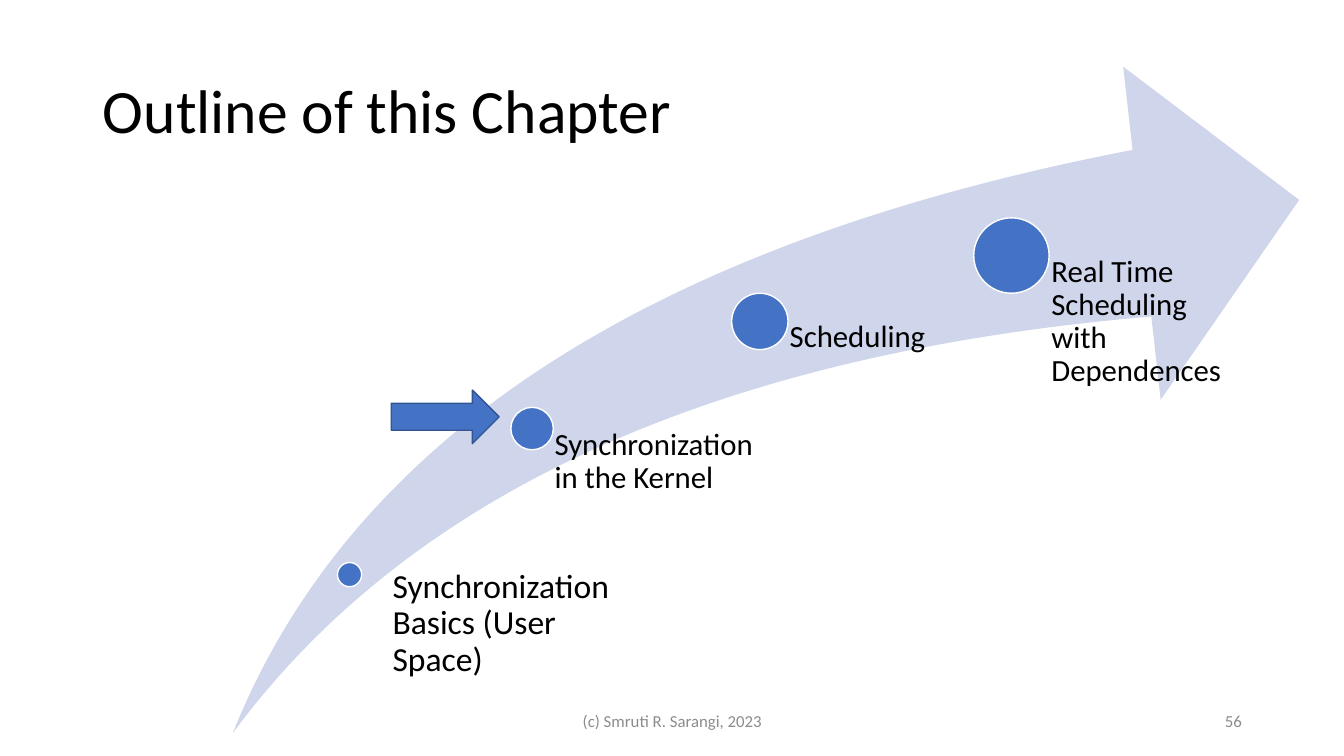
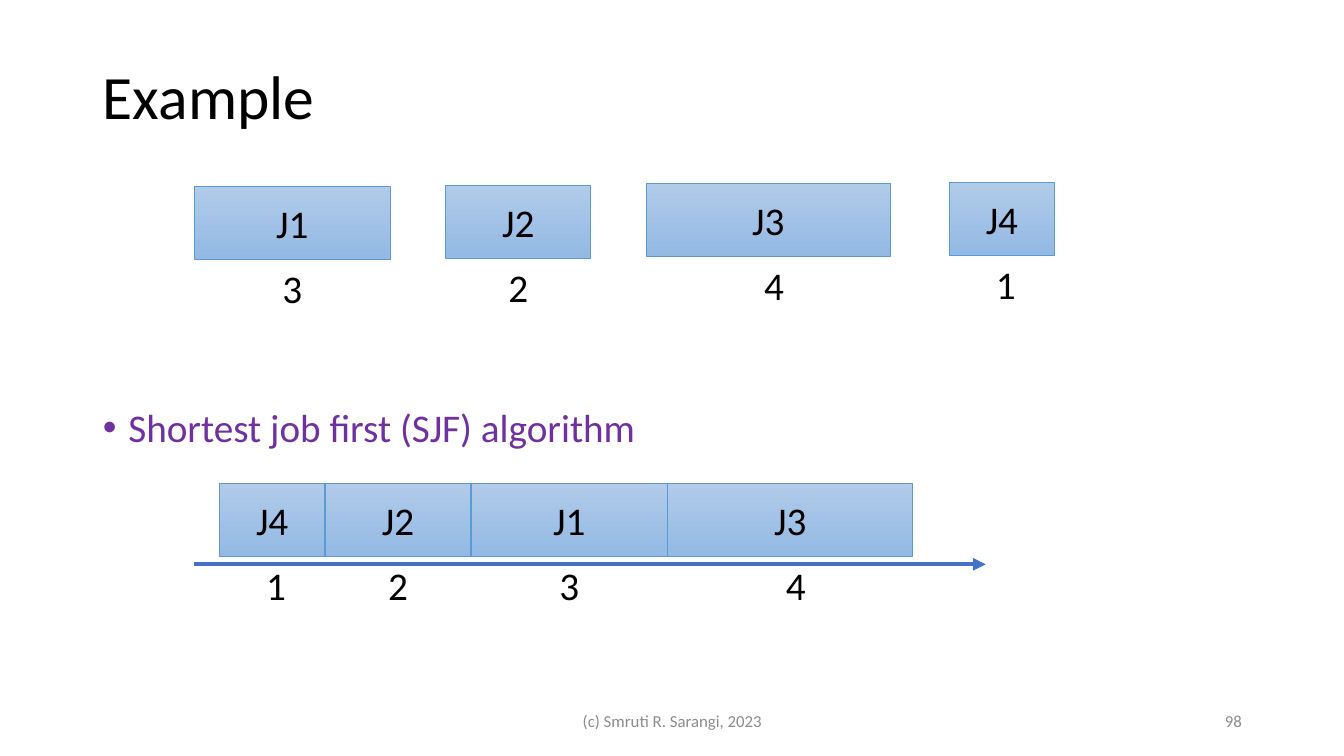
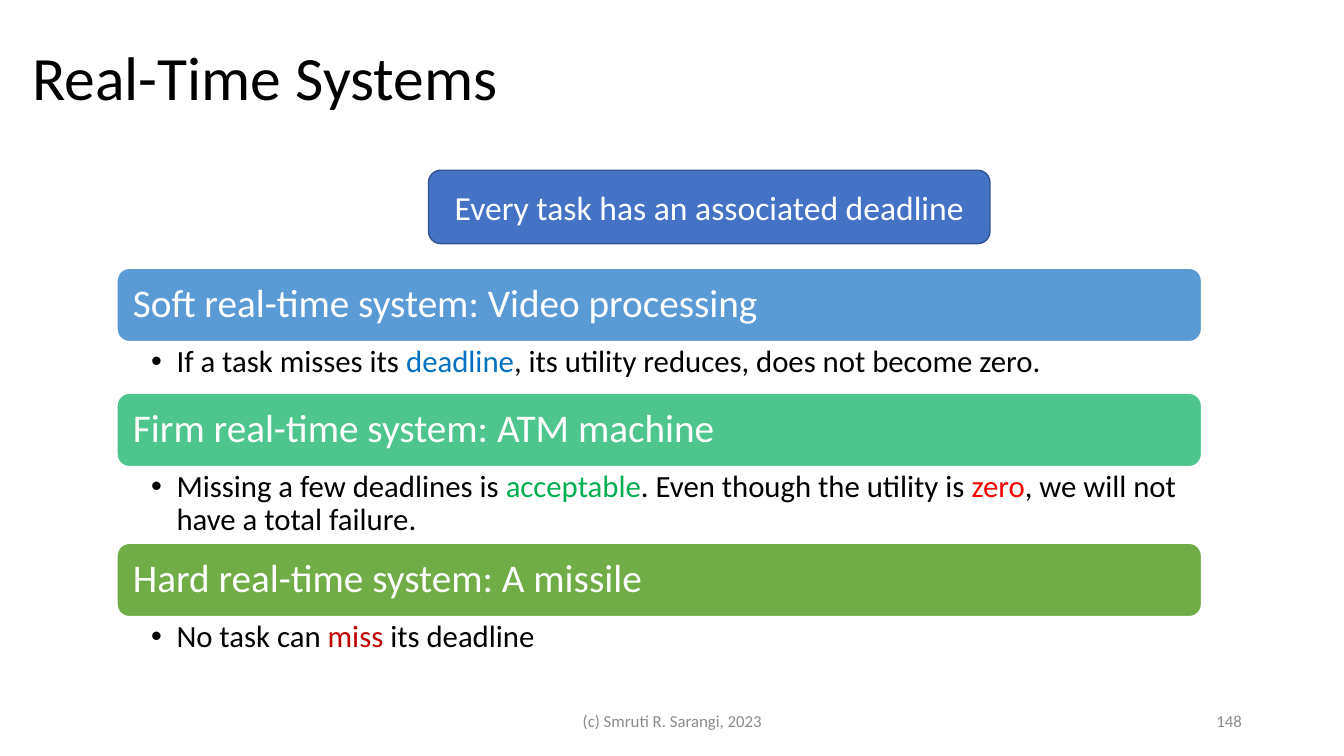
from dataclasses import dataclass
from typing import NamedTuple

from lxml.etree import SubElement
from pptx import Presentation
from pptx.dml.color import RGBColor
from pptx.enum.shapes import MSO_CONNECTOR, MSO_SHAPE
from pptx.enum.text import MSO_ANCHOR, MSO_AUTO_SIZE, PP_ALIGN
from pptx.oxml.ns import qn
from pptx.shapes.autoshape import Shape
from pptx.slide import Slide
from pptx.text.text import TextFrame
from pptx.util import Cm, Pt

FONT = "Calibri"
COLORS = {
    "black": "000000", "white": "FFFFFF", "footer": "8C8C8C",
    "swoosh": "CFD5EA", "accent": "4472C4", "accent_edge": "325491",
    "job_top": "B1CBE9", "job_bottom": "93B9E4", "job_edge": "5B9BD5",
    "soft": "5B9BD5", "firm": "4DC58D", "hard": "70AD47",
    "purple": "7030A0", "blue": "0070C0", "green": "00B050",
    "red": "FF0000", "dark_red": "C00000",
}
TITLE_ONLY, TITLE_AND_BODY = 5, 1
COPYRIGHT = "(c) Smruti R. Sarangi, 2023"
BULLET_INDENT = Cm(0.64)
NO_INSETS = (0, 0, 0, 0)


class Box(NamedTuple):
    """Left, top, width and height in centimetres."""
    left: float
    top: float
    width: float
    height: float

    def emu(self) -> tuple:
        return tuple(Cm(v) for v in self)


class Run(NamedTuple):
    text: str
    color: str = "black"


@dataclass
class Milestone:
    text: str
    cx: float
    cy: float
    diameter: float
    size: int = 22
    dx: float = 0
    dy: float = 0
    width: float = 5.64


@dataclass
class Job:
    name: str
    length: int
    width: float
    shift: float = 0


@dataclass
class SystemKind:
    heading: str
    color: str
    detail: list[Run]
    detail_height: float


def rgb(name: str) -> RGBColor:
    return RGBColor.from_string(COLORS[name])


def write(tf: TextFrame, runs: list[Run], size: int, align: PP_ALIGN = PP_ALIGN.LEFT,
          anchor: MSO_ANCHOR = MSO_ANCHOR.TOP, spacing: float = 1.0,
          insets: tuple | None = None, bullet: bool = False) -> None:
    """Fill a frame with one paragraph; insets are left, top, right, bottom in cm."""
    frame_format = {"word_wrap": True, "auto_size": MSO_AUTO_SIZE.NONE,
                    "vertical_anchor": anchor}
    if insets is not None:
        sides = ("margin_left", "margin_top", "margin_right", "margin_bottom")
        frame_format.update(zip(sides, map(Cm, insets)))
    for name, value in frame_format.items():
        setattr(tf, name, value)

    p = tf.paragraphs[0]
    if bullet:
        pPr = p._p.get_or_add_pPr()
        pPr.set("marL", str(BULLET_INDENT))
        pPr.set("indent", str(-BULLET_INDENT))
        SubElement(pPr, qn("a:buFont")).set("typeface", "Arial")
        SubElement(pPr, qn("a:buChar")).set("char", "•")
    paragraph_format = {"alignment": align, "line_spacing": spacing, "space_before": Pt(0)}
    for name, value in paragraph_format.items():
        setattr(p, name, value)
    for text, color in runs:
        r = p.add_run()
        r.text = text
        for name, value in {"name": FONT, "size": Pt(size)}.items():
            setattr(r.font, name, value)
        r.font.color.rgb = rgb(color)


def add_text(s: Slide, box: Box, runs: list[Run], size: int, **style) -> None:
    write(s.shapes.add_textbox(*box.emu()).text_frame, runs, size, **style)


def add_shape(s: Slide, kind: MSO_SHAPE, box: Box, fill: str | None = None,
              edge: str | None = None, edge_width: float = 1) -> Shape:
    sp = s.shapes.add_shape(kind, *box.emu())
    sp.shadow.inherit = False
    if fill:
        sp.fill.solid()
        sp.fill.fore_color.rgb = rgb(fill)
    if edge:
        sp.line.color.rgb = rgb(edge)
        sp.line.width = Pt(edge_width)
    else:
        sp.line.fill.background()
    return sp


def place(sp: Shape, box: Box) -> None:
    sp.left, sp.top, sp.width, sp.height = box.emu()


def new_slide(prs: Presentation, layout: int, title: str, left: float, top: float,
              number: int) -> Slide:
    """Add a slide with its title, copyright line and page number."""
    s = prs.slides.add_slide(prs.slide_layouts[layout])
    place(s.shapes.title, Box(left, top, 29.21, 3.68))
    write(s.shapes.title.text_frame, [Run(title)], 44, anchor=MSO_ANCHOR.MIDDLE, spacing=0.9)
    footers = [(Box(11.23, 17.65, 11.43, 1.02), COPYRIGHT, PP_ALIGN.CENTER),
               (Box(23.93, 17.65, 7.62, 1.02), str(number), PP_ALIGN.RIGHT)]
    for box, text, align in footers:
        add_text(s, box, [Run(text, "footer")], 12, align=align, anchor=MSO_ANCHOR.MIDDLE)
    return s


def outline_slide(prs: Presentation) -> None:
    s = new_slide(prs, TITLE_ONLY, "Outline of this Chapter", 2.34, 1.02, 56)
    swoosh = Box(5.87, 1.68, 26.87, 16.79)
    sp = add_shape(s, MSO_SHAPE.SWOOSH_ARROW, swoosh, "swoosh")
    sp.adjustments[0] = sp.adjustments[1] = 0.25

    milestones = [
        Milestone("Synchronization Basics (User Space)", 8.81, 14.48, 0.61,
                  size=24, dx=0.76, dy=-0.13, width=6.02),
        Milestone("Synchronization in the Kernel", 13.41, 10.8, 1.07),
        Milestone("Scheduling", 19.15, 8.1, 1.42),
        Milestone("Real Time Scheduling with Dependences", 25.49, 6.44, 1.9),
    ]
    for m in milestones:
        d = m.diameter
        add_shape(s, MSO_SHAPE.OVAL, Box(m.cx - d / 2, m.cy - d / 2, d, d), "accent", "white")
        top = m.cy + m.dy
        label = Box(m.cx + m.dx, top, m.width, swoosh.top + swoosh.height - top)
        add_text(s, label, [Run(m.text)], m.size, spacing=0.9, insets=(0.53 * d, 0, 0, 0))
    add_shape(s, MSO_SHAPE.RIGHT_ARROW, Box(9.86, 9.83, 2.72, 1.35), "accent", "accent_edge")


def add_job(s: Slide, job: Job, left: float, top: float) -> None:
    """Draw a job as a box with its length centred below."""
    height, label_width = 1.83, 1.02
    sp = add_shape(s, MSO_SHAPE.RECTANGLE, Box(left, top, job.width, height),
                   edge="job_edge", edge_width=0.5)
    sp.fill.gradient()
    sp.fill.gradient_angle = 270
    for stop, color in zip(sp.fill.gradient_stops, ("job_top", "job_bottom")):
        stop.color.rgb = rgb(color)
    write(sp.text_frame, [Run(job.name)], 28, align=PP_ALIGN.CENTER, anchor=MSO_ANCHOR.MIDDLE)
    label_left = left + (job.width - label_width) / 2 + job.shift
    add_text(s, Box(label_left, top + height, label_width, 1.45), [Run(str(job.length))], 28,
             align=PP_ALIGN.CENTER, insets=(0, 0.13, 0, 0))


def add_time_axis(s: Slide, left: float, right: float, y: float) -> None:
    axis = s.shapes.add_connector(MSO_CONNECTOR.STRAIGHT, Cm(left), Cm(y), Cm(right), Cm(y))
    axis.line.color.rgb = rgb("accent")
    axis.line.width = Pt(3)
    SubElement(axis.line._get_or_add_ln(), qn("a:tailEnd")).set("type", "triangle")
    SubElement(axis._element.spPr, qn("a:effectLst"))


def example_slide(prs: Presentation) -> None:
    s = new_slide(prs, TITLE_AND_BODY, "Example", 2.34, 0.66, 98)
    body = s.placeholders[1]
    place(body, Box(2.34, 10.16, 29.21, 1.83))
    write(body.text_frame, [Run("Shortest job first (SJF) algorithm", "purple")], 28,
          spacing=0.9, bullet=True)

    j1, j2 = Job("J1", 3, 4.93), Job("J2", 2, 3.66)
    j3, j4 = Job("J3", 4, 6.17, shift=0.14), Job("J4", 1, 2.64, shift=0.1)
    arrivals = [(j1, 4.9, 4.7), (j2, 11.23, 4.67), (j3, 16.28, 4.62), (j4, 23.93, 4.6)]
    for job, left, top in arrivals:
        add_job(s, job, left, top)

    add_time_axis(s, 4.9, 24.84, 14.22)
    left = 5.54
    for job in sorted((j1, j2, j3, j4), key=lambda j: j.length):
        add_job(s, job, left, 12.18)
        left += job.width + 0.02


def real_time_slide(prs: Presentation) -> None:
    s = new_slide(prs, TITLE_ONLY, "Real-Time Systems", 0.56, 0.2, 148)
    bar_height = 1.85
    sp = add_shape(s, MSO_SHAPE.ROUNDED_RECTANGLE, Box(10.8, 4.29, 14.15, bar_height),
                   "accent", "accent_edge")
    write(sp.text_frame, [Run("Every task has an associated deadline", "white")], 24,
          align=PP_ALIGN.CENTER, anchor=MSO_ANCHOR.MIDDLE)

    kinds = [
        SystemKind("Soft real-time system: Video processing", "soft",
                   [Run("If a task misses its "), Run("deadline", "blue"),
                    Run(", its utility reduces, does not become zero.")], 1.3),
        SystemKind("Firm real-time system: ATM machine", "firm",
                   [Run("Missing a few deadlines is "), Run("acceptable", "green"),
                    Run(". Even though the utility is "), Run("zero", "red"),
                    Run(", we will not have a total failure.")], 1.93),
        SystemKind("Hard real-time system: A missile", "hard",
                   [Run("No task can "), Run("miss", "dark_red"), Run(" its deadline")], 1.3),
    ]
    left, top, width = 2.95, 6.76, 27.33
    for kind in kinds:
        sp = add_shape(s, MSO_SHAPE.ROUNDED_RECTANGLE, Box(left, top, width, bar_height),
                       kind.color, "white")
        write(sp.text_frame, [Run(kind.heading, "white")], 28, anchor=MSO_ANCHOR.MIDDLE,
              spacing=0.9, insets=(0.31, 0, 0.31, 0))
        top += bar_height
        add_text(s, Box(left, top, width, kind.detail_height), kind.detail, 22,
                 spacing=0.9, insets=(0.86, 0.1, 0.56, 0.1), bullet=True)
        top += kind.detail_height


def main() -> None:
    prs = Presentation()
    prs.slide_width, prs.slide_height = Cm(33.87), Cm(19.05)
    for build in (outline_slide, example_slide, real_time_slide):
        build(prs)
    prs.save("out.pptx")


if __name__ == "__main__":
    main()
